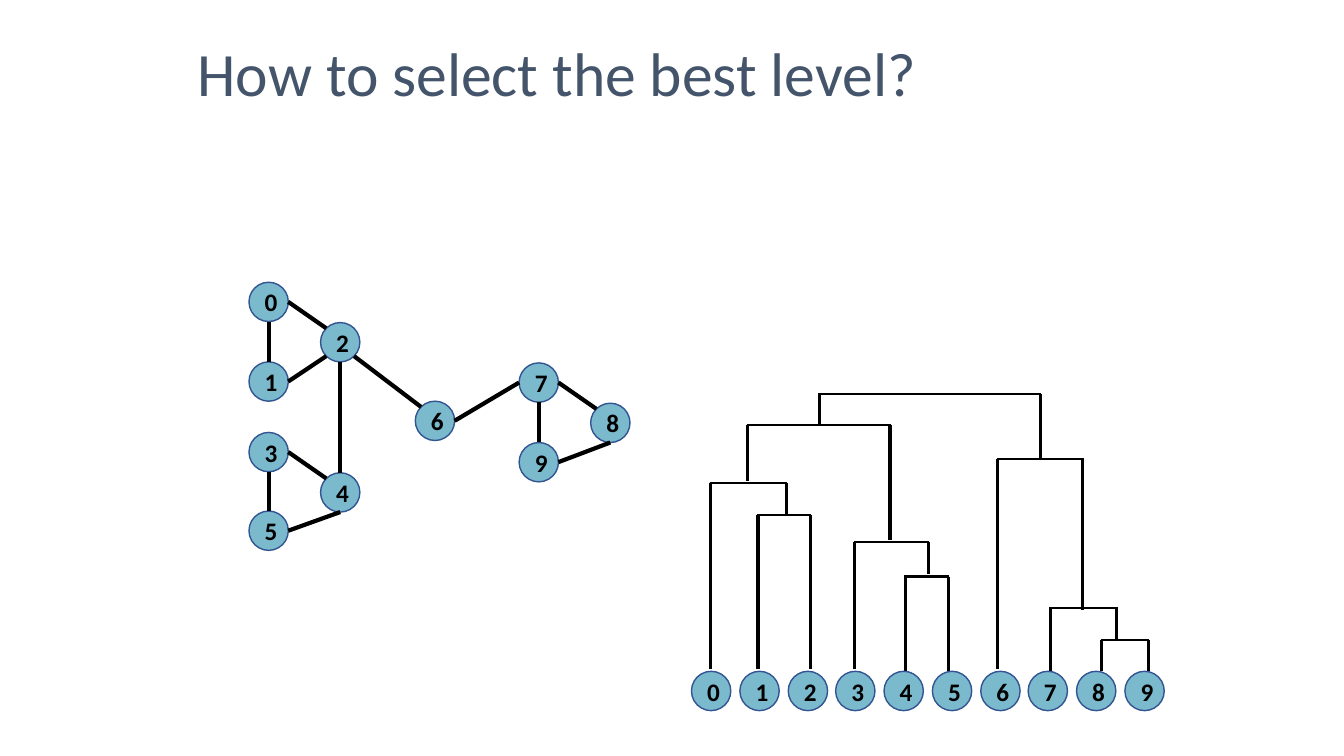
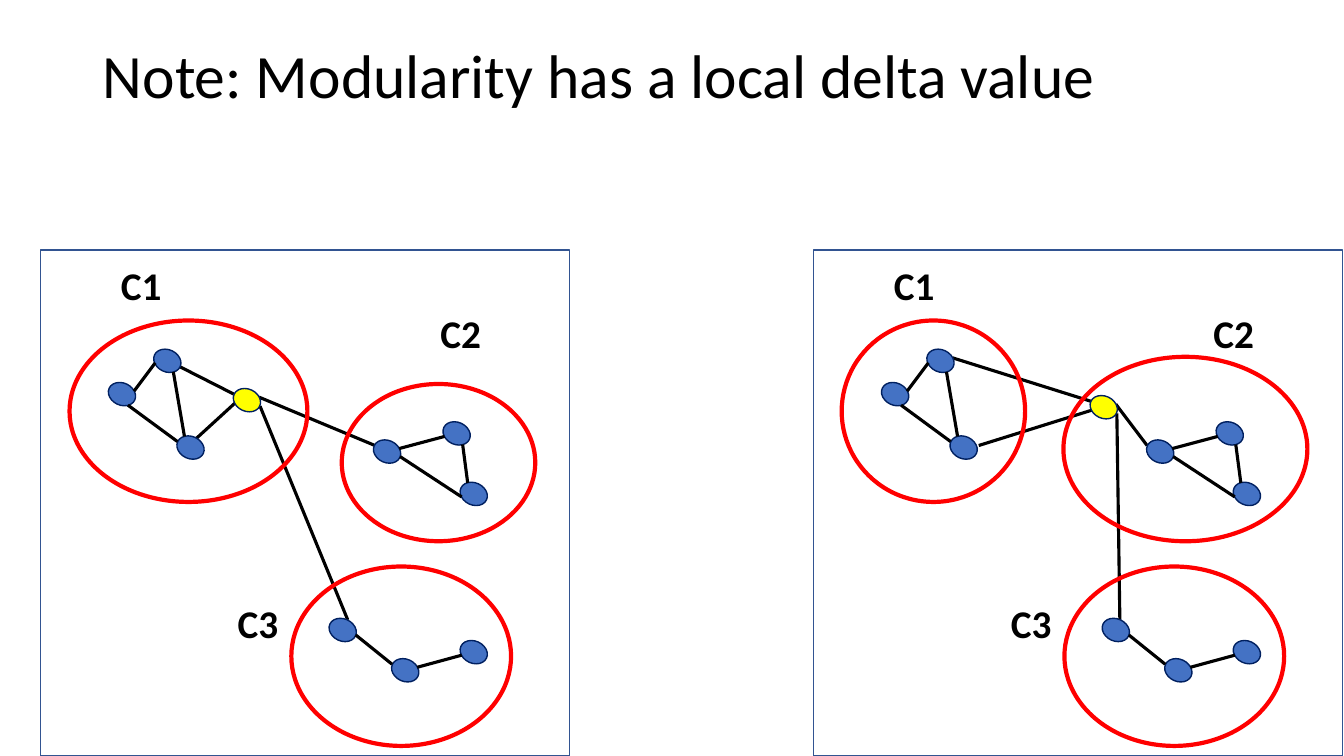
from dataclasses import dataclass
from math import cos, radians, sin
from typing import NamedTuple, Optional

from lxml.etree import SubElement
from pptx import Presentation
from pptx.dml.color import RGBColor
from pptx.enum.shapes import MSO_CONNECTOR as Connector, MSO_SHAPE as Preset
from pptx.enum.text import MSO_ANCHOR as Anchor, MSO_AUTO_SIZE as AutoSize, PP_ALIGN as Align
from pptx.oxml.ns import qn
from pptx.util import Emu, Pt

PX = 9144  # 100 px to the inch
FONT = "Calibri"
BLACK, SLATE, OUTLINE = "000000", "44546A", "325491"
NODE_FILL, DOT_FILL, DOT_LINE = "7BB9CD", "4472C4", "002060"
MOVED_FILL, RING = "FFFF00", "FF0000"
NODE_SIZE, DOT_WIDTH, DOT_HEIGHT, DOT_TILT = 39, 28, 22, 24.8
COMPASS = {"E": 0, "SE": 45, "S": 90, "SW": 135, "W": 180, "NW": 225, "N": 270}


class Point(NamedTuple):
    x: int
    y: int


class Box(NamedTuple):
    left: int
    top: int
    width: int
    height: int

    def shifted(self, dx: int) -> "Box":
        return self._replace(left=self.left + dx)


class Segment(NamedTuple):
    x1: int
    y1: int
    x2: int
    y2: int

    def shifted(self, dx: int) -> "Segment":
        return Segment(self.x1 + dx, self.y1, self.x2 + dx, self.y2)


class Edge(NamedTuple):
    """Joins a compass side of one node to a compass side of another."""
    start: int
    start_side: str
    end: int
    end_side: str


class Merge(NamedTuple):
    """One dendrogram bracket: a bar with two legs."""
    left: int
    right: int
    top: int
    left_foot: int
    right_foot: int


@dataclass
class Panel:
    """One community assignment of the moved node."""
    shift: int
    moved: Point
    rings: list[Box]
    links: list[Segment]


NODES = [Point(247, 280), Point(247, 359), Point(318, 320), Point(247, 429), Point(318, 469),
         Point(247, 507), Point(412, 398), Point(515, 360), Point(586, 400), Point(515, 439)]
EDGES = [
    Edge(0, "E", 2, "NW"), Edge(0, "S", 1, "N"), Edge(1, "E", 2, "SW"),
    Edge(3, "E", 4, "NW"), Edge(3, "S", 5, "N"), Edge(4, "S", 5, "E"),
    Edge(7, "E", 8, "NW"), Edge(7, "S", 9, "N"), Edge(8, "S", 9, "E"),
    Edge(2, "S", 4, "N"), Edge(2, "SE", 6, "NW"), Edge(6, "E", 7, "W"),
]
LEAF_LEFT, LEAF_TOP, LEAF_SPAN = 686, 666, 430
MERGES = [
    Merge(705, 780, 479, 664, 510), Merge(752, 804, 511, 664, 664),
    Merge(848, 921, 538, 664, 569), Merge(898, 941, 572, 666, 666),
    Merge(1042, 1108, 603, 666, 635), Merge(1093, 1139, 635, 666, 666),
    Merge(990, 1074, 455, 664, 605), Merge(742, 883, 422, 477, 536),
    Merge(813, 1032, 391, 422, 454),
]

FRAME = Box(40, 248, 525, 502)
DOTS = [Point(152, 347), Point(107, 380), Point(175, 433), Point(370, 437), Point(439, 419),
        Point(456, 479), Point(326, 614), Point(388, 654), Point(456, 636)]
INNER_LINKS = [
    Segment(133, 388, 154, 360), Segment(127, 402, 176, 438), Segment(172, 369, 183, 433),
    Segment(396, 445, 441, 433), Segment(397, 453, 458, 493), Segment(459, 441, 464, 479),
    Segment(353, 630, 389, 659), Segment(458, 650, 414, 662),
]
THIRD_RING = Box(289, 562, 218, 178)
LABELS = {"C1": Point(110, 254), "C2": Point(427, 302), "C3": Point(226, 590)}
PANELS = [
    Panel(0, Point(231, 386), [Box(69, 318, 236, 180), Box(339, 381, 192, 156)],
          [Segment(257, 394, 372, 442), Segment(258, 403, 345, 615),
           Segment(186, 443, 233, 400), Segment(167, 358, 232, 391)]),
    Panel(767, Point(314, 393), [Box(68, 318, 182, 180), Box(288, 354, 242, 183)],
          [Segment(340, 401, 371, 442), Segment(341, 410, 344, 615),
           Segment(204, 442, 316, 407), Segment(178, 355, 315, 398)]),
]


def px(*lengths: float) -> list[Emu]:
    return [Emu(round(length * PX)) for length in lengths]


def color(hex_text: str) -> RGBColor:
    return RGBColor.from_string(hex_text)


def write(frame, text: str, *, size: int, ink: str = BLACK, bold: bool = False,
          align: Align = Align.LEFT, anchor: Anchor = Anchor.TOP,
          wrap: bool = True, spacing: float = 1.0) -> None:
    frame.auto_size = AutoSize.NONE
    frame.word_wrap = wrap
    frame.vertical_anchor = anchor
    paragraph = frame.paragraphs[0]
    paragraph.alignment = align
    paragraph.line_spacing = spacing
    run = paragraph.add_run()
    run.text = text
    run.font.name = FONT
    run.font.size = Pt(size)
    run.font.bold = bold
    run.font.color.rgb = color(ink)


def add_title_slide(presentation, text: str, box: Box, ink: str, spacing: float):
    """Adds a slide holding only a title and returns it."""
    slide = presentation.slides.add_slide(presentation.slide_layouts[5])
    title = slide.shapes.title
    title.left, title.top, title.width, title.height = px(*box)
    write(title.text_frame, text, size=44, ink=ink, spacing=spacing)
    return slide


def add_line(slide, segment: Segment, width: float) -> None:
    line = slide.shapes.add_connector(Connector.STRAIGHT, *px(*segment))
    line.line.color.rgb = color(BLACK)
    line.line.width = Pt(width)
    SubElement(line._element.spPr, qn("a:effectLst"))


def add_outline(slide, preset: Preset, box: Box, line: str, *,
                width: float = 1, fill: Optional[str] = None):
    shape = slide.shapes.add_shape(preset, *px(*box))
    shape.shadow.inherit = False
    if fill:
        shape.fill.solid()
        shape.fill.fore_color.rgb = color(fill)
    else:
        shape.fill.background()
    shape.line.color.rgb = color(line)
    shape.line.width = Pt(width)
    return shape


def add_node(slide, corner: Point, number: int) -> None:
    node = add_outline(slide, Preset.OVAL, Box(*corner, NODE_SIZE, NODE_SIZE),
                       OUTLINE, fill=NODE_FILL)
    write(node.text_frame, str(number), size=18, bold=True,
          align=Align.CENTER, anchor=Anchor.MIDDLE)


def add_dot(slide, corner: Point, shift: int, fill: str = DOT_FILL) -> None:
    box = Box(*corner, DOT_WIDTH, DOT_HEIGHT).shifted(shift)
    add_outline(slide, Preset.OVAL, box, DOT_LINE, fill=fill).rotation = DOT_TILT


def side_point(corner: Point, side: str) -> tuple[float, float]:
    radius, angle = NODE_SIZE / 2, radians(COMPASS[side])
    return corner.x + radius * (1 + cos(angle)), corner.y + radius * (1 + sin(angle))


def add_graph(slide) -> None:
    for number, corner in enumerate(NODES):
        add_node(slide, corner, number)
    for edge in EDGES:
        start = side_point(NODES[edge.start], edge.start_side)
        end = side_point(NODES[edge.end], edge.end_side)
        add_line(slide, Segment(*start, *end), 3)


def add_dendrogram(slide) -> None:
    for merge in MERGES:
        add_line(slide, Segment(merge.left, merge.top, merge.left, merge.left_foot), 2.25)
        add_line(slide, Segment(merge.right, merge.top, merge.right, merge.right_foot), 2.25)
        add_line(slide, Segment(merge.left - 1, merge.top, merge.right + 1, merge.top), 1.5)
    last = len(NODES) - 1
    for number in range(len(NODES)):
        add_node(slide, Point(LEAF_LEFT + round(number * LEAF_SPAN / last), LEAF_TOP), number)


def add_panel(slide, panel: Panel) -> None:
    for link in panel.links:
        add_line(slide, link.shifted(panel.shift), 2.25)
    for ring in [*panel.rings, THIRD_RING]:
        add_outline(slide, Preset.OVAL, ring.shifted(panel.shift), RING, width=3)
    for corner in DOTS:
        add_dot(slide, corner, panel.shift)
    add_dot(slide, panel.moved, panel.shift, MOVED_FILL)
    for link in INNER_LINKS:
        add_line(slide, link.shifted(panel.shift), 2.25)
    for name, corner in LABELS.items():
        label = slide.shapes.add_textbox(*px(*Box(*corner, 61, 57).shifted(panel.shift)))
        write(label.text_frame, name, size=28, bold=True, wrap=False)
    add_outline(slide, Preset.RECTANGLE, FRAME.shifted(panel.shift), OUTLINE)


def main() -> None:
    presentation = Presentation()
    presentation.slide_width, presentation.slide_height = px(1333.33, 750)

    level_slide = add_title_slide(presentation, "How to select the best level?",
                                  Box(186, 30, 961, 180), SLATE, 1.0)
    add_graph(level_slide)
    add_dendrogram(level_slide)

    delta_slide = add_title_slide(presentation, "Note: Modularity has a local delta value",
                                  Box(92, 40, 1150, 145), BLACK, 0.9)
    for panel in PANELS:
        add_panel(delta_slide, panel)

    presentation.save("out.pptx")


if __name__ == "__main__":
    main()
